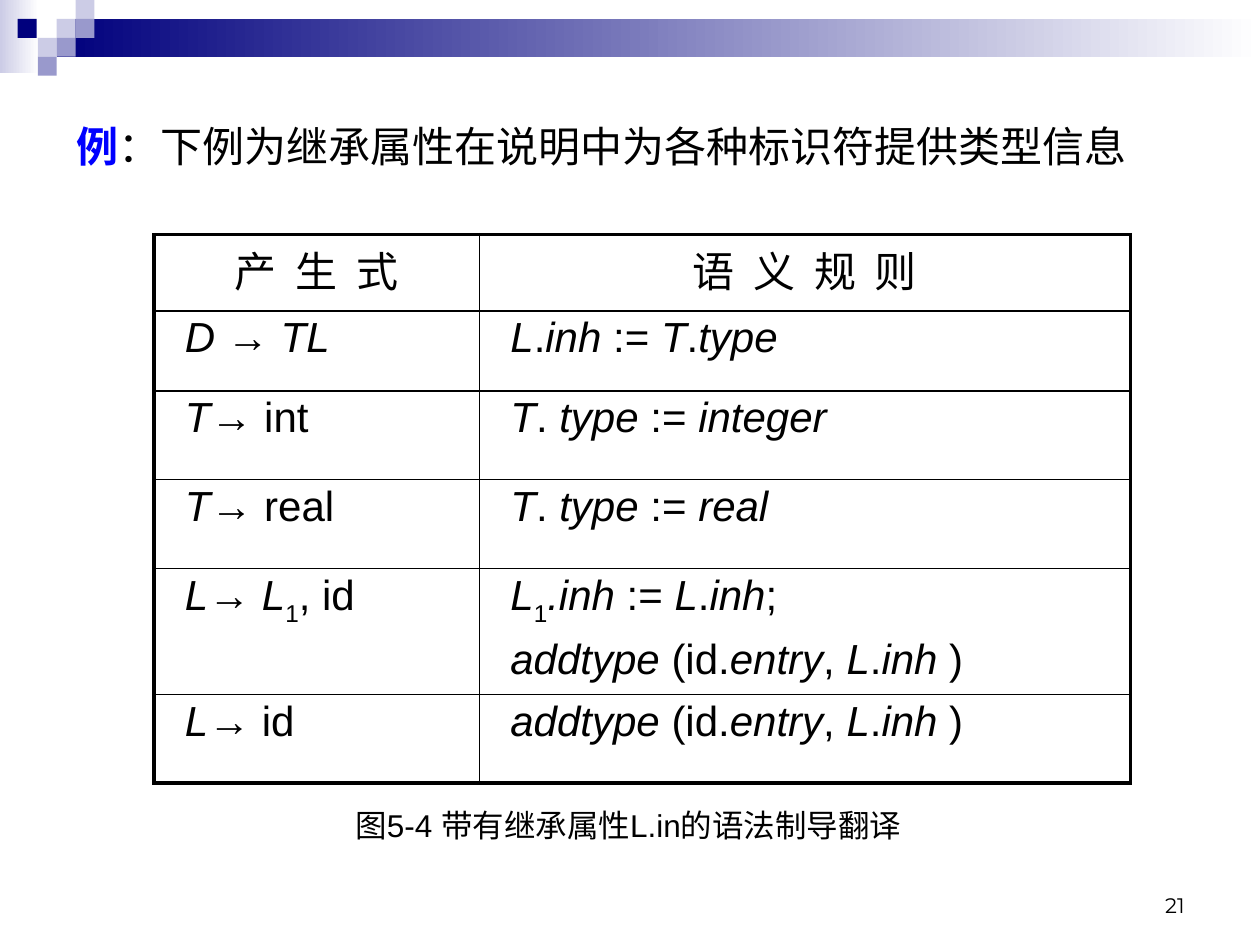
from dataclasses import dataclass
from typing import Optional

from lxml.etree import SubElement
from pptx import Presentation
from pptx.dml.color import RGBColor
from pptx.enum.shapes import MSO_SHAPE as Shape
from pptx.enum.text import MSO_ANCHOR as Anchor, PP_ALIGN as Align
from pptx.oxml.ns import qn
from pptx.util import Pt

COLORS = {
    "navy": "00007D",
    "violet": "9999CC",
    "lilac": "CCCCE6",
    "white": "FFFFFF",
    "black": "000000",
    "blue": "0000FF",
}
LATIN, CHINESE, NUMERAL = "Arial", "Noto Sans CJK SC", "Montserrat"
SQUARE = 10.8
THICK, THIN = 2.25, 1


@dataclass
class Block:
    left: float
    top: float
    color: str
    width: float = SQUARE
    height: float = SQUARE
    fade_to: Optional[str] = None


BANNER = [
    Block(0, 0, "lilac", 22.3, 41.8, "white"),
    Block(32.4, 10.8, "navy", 687.6, 21.6, "white"),
    Block(32.4, 10.8, "lilac"),
    Block(43.2, 0, "lilac"),
    Block(43.2, 10.8, "violet"),
    Block(21.6, 21.6, "lilac"),
    Block(10.1, 10.8, "navy"),
    Block(32.4, 21.6, "violet"),
    Block(21.6, 32.4, "violet"),
]


@dataclass
class Rule:
    height: float
    production: str
    semantics: list[str]


# In the grammar text, *...* is italic and _..._ is subscript.
ADD_TYPE = "*addtype* (id.*entry*, *L*.*inh* )"
RULES = [
    Rule(45.8, "*D *→ *TL*", ["*L*.*inh* := *T*.*type*"]),
    Rule(50.7, "*T*→ int", ["*T*.* type* := *integer*"]),
    Rule(50.7, "*T*→ real", ["*T*.* type* := *real*"]),
    Rule(67.9, "*L*→ *L*_1_, id", ["*L*_1_*.inh* := *L*.*inh*;", ADD_TYPE]),
    Rule(50.4, "*L*→ id", [ADD_TYPE]),
]
HEADINGS = ["产 生 式", "语 义 规 则"]
HEADING_HEIGHT = 43.7
COLUMN_WIDTHS = [186, 372]


def rgb(name: str) -> RGBColor:
    return RGBColor.from_string(COLORS[name])


def set_font(font, size: float, name: str, color: Optional[str] = "black") -> None:
    font.size = Pt(size)
    font.name = name
    if color:
        font.color.rgb = rgb(color)


def set_chinese(span) -> None:
    properties = span.font._element if hasattr(span.font, "_element") else span._r.get_or_add_rPr()
    SubElement(properties, qn("a:ea")).set("typeface", CHINESE)


def draw_block(slide, block: Block) -> None:
    shape = slide.shapes.add_shape(
        Shape.RECTANGLE, Pt(block.left), Pt(block.top), Pt(block.width), Pt(block.height))
    shape.shadow.inherit = False
    shape.line.fill.background()
    if block.fade_to:
        shape.fill.gradient()
        shape.fill.gradient_angle = 0
        for stop, name in zip(shape.fill.gradient_stops, (block.color, block.fade_to)):
            stop.color.rgb = rgb(name)
    else:
        shape.fill.solid()
        shape.fill.fore_color.rgb = rgb(block.color)


def write_grammar(para, markup: str) -> None:
    for i, part in enumerate(markup.split("*")):
        for j, text in enumerate(part.split("_")):
            if text:
                span = para.add_run()
                span.text = text
                span.font.italic = i % 2 == 1
                if j % 2:
                    span._r.get_or_add_rPr().set("baseline", "-30000")
    set_font(para.font, 24, LATIN)


def write_heading(cell, text: str) -> None:
    para = cell.text_frame.paragraphs[0]
    para.alignment = Align.CENTER
    span = para.add_run()
    span.text = text
    span._r.get_or_add_rPr().set("spc", "270")
    set_chinese(span)
    set_font(para.font, 24, CHINESE)


def write_lines(cell, lines: list[str]) -> None:
    cell.margin_left = Pt(17.7)
    frame = cell.text_frame
    for index, line in enumerate(lines):
        para = frame.add_paragraph() if index else frame.paragraphs[0]
        if index:
            para.space_before = Pt(5)
        write_grammar(para, line)


def set_border(cell, side: str, width: float) -> None:
    line = SubElement(cell._tc.get_or_add_tcPr(), qn(f"a:{side}"), w=str(Pt(width)))
    fill = SubElement(line, qn("a:solidFill"))
    SubElement(fill, qn("a:srgbClr"), val=COLORS["black"])


def draw_table(slide) -> None:
    heights = [HEADING_HEIGHT] + [rule.height for rule in RULES]
    frame = slide.shapes.add_table(
        len(heights), len(COLUMN_WIDTHS), Pt(88), Pt(134),
        Pt(sum(COLUMN_WIDTHS)), Pt(sum(heights)))
    table = frame.table
    for column, width in zip(table.columns, COLUMN_WIDTHS):
        column.width = Pt(width)
    last_row, last_column = len(heights) - 1, len(COLUMN_WIDTHS) - 1
    for r, height in enumerate(heights):
        table.rows[r].height = Pt(height)
        for c in range(len(COLUMN_WIDTHS)):
            cell = table.cell(r, c)
            cell.margin_left = cell.margin_right = Pt(4.3)
            cell.margin_top = cell.margin_bottom = Pt(2.2)
            outer = {"lnL": c == 0, "lnR": c == last_column,
                     "lnT": r == 0, "lnB": r == last_row}
            for side, is_outer in outer.items():
                set_border(cell, side, THICK if is_outer else THIN)
            cell.fill.background()
            if r == 0:
                write_heading(cell, HEADINGS[c])
            else:
                rule = RULES[r - 1]
                write_lines(cell, [rule.production] if c == 0 else rule.semantics)


def write_title(slide) -> None:
    title = slide.shapes.title
    title.left, title.top, title.width, title.height = Pt(36.7), Pt(65.5), Pt(620), Pt(36)
    frame = title.text_frame
    frame.word_wrap = True
    frame.vertical_anchor = Anchor.TOP
    para = frame.paragraphs[0]
    para.alignment = Align.LEFT
    for text, color, bold in (("例", "blue", True),
                              ("：下例为继承属性在说明中为各种标识符提供类型信息", "black", False)):
        span = para.add_run()
        span.text = text
        span.font.bold = bold
        span.font.color.rgb = rgb(color)
        set_chinese(span)
    set_font(para.font, 24, LATIN, None)


def add_label(slide, text: str, left: float, top: float, width: float, height: float,
              size: float, font: str, align: Align, anchor: Anchor) -> None:
    box = slide.shapes.add_textbox(Pt(left), Pt(top), Pt(width), Pt(height))
    box.text_frame.word_wrap = True
    box.text_frame.vertical_anchor = anchor
    para = box.text_frame.paragraphs[0]
    para.alignment = align
    span = para.add_run()
    span.text = text
    set_chinese(span)
    set_font(para.font, size, font)


def main() -> None:
    deck = Presentation()
    deck.slide_width, deck.slide_height = Pt(720), Pt(540)
    slide = deck.slides.add_slide(deck.slide_layouts[5])
    for block in BANNER:
        draw_block(slide, block)
    add_label(slide, "21", 516, 492, 168, 36, 12, NUMERAL, Align.RIGHT, Anchor.BOTTOM)
    draw_table(slide)
    add_label(slide, "图5-4 带有继承属性L.in的语法制导翻译", 196, 457, 402, 29,
              18, LATIN, Align.LEFT, Anchor.TOP)
    write_title(slide)
    deck.save("out.pptx")


if __name__ == "__main__":
    main()
